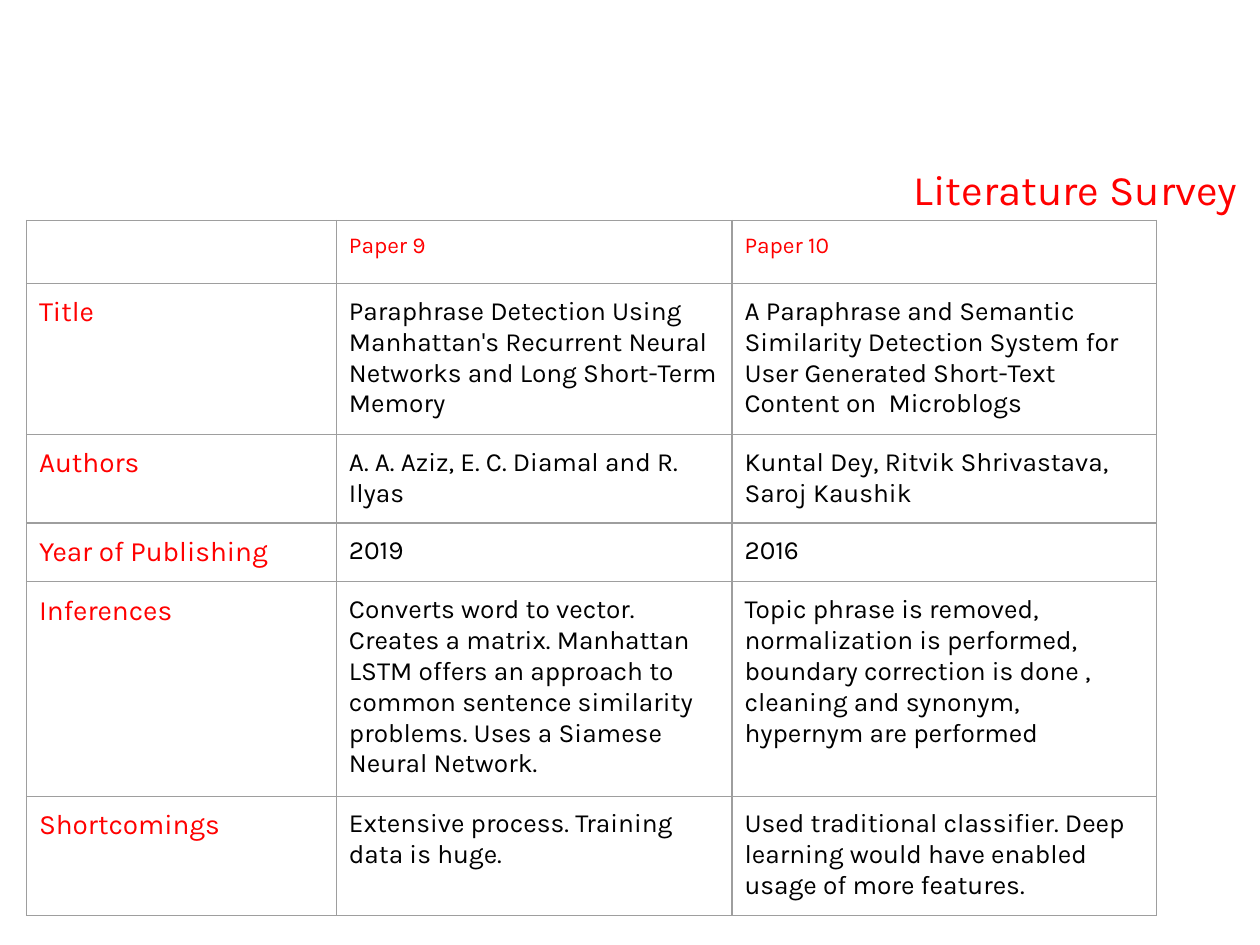
from lxml.etree import SubElement
from pptx import Presentation
from pptx.dml.color import RGBColor
from pptx.enum.text import PP_ALIGN
from pptx.oxml.ns import qn
from pptx.util import Inches, Pt

RED = RGBColor(0xFF, 0, 0)
BLACK = RGBColor(0, 0, 0)
GREY = RGBColor(0x9E, 0x9E, 0x9E)
FONT = "Karla"

COLS = [2.46, 3.14, 3.37]
HEIGHTS = [0.47, 0.73, 0.68, 0.32, 1.47, 0.63]
ROWS = [
    ["", "Paper 9", "Paper 10"],
    ["Title",
     "Paraphrase Detection Using Manhattan's Recurrent Neural Networks and Long Short-Term Memory",
     "A Paraphrase and Semantic Similarity Detection System for User Generated Short-Text Content on  Microblogs"],
    ["Authors",
     "A. A. Aziz, E. C. Diamal and R. Ilyas",
     "Kuntal Dey, Ritvik Shrivastava, Saroj Kaushik"],
    ["Year of Publishing", "2019", "2016"],
    ["Inferences",
     "Converts word to vector. Creates a matrix. Manhattan LSTM offers an approach to common "
     "sentence similarity problems. Uses a Siamese Neural Network.",
     "Topic phrase is removed, normalization is performed, boundary correction is done , "
     "cleaning and synonym, hypernym are performed"],
    ["Shortcomings",
     "Extensive process. Training data is huge.",
     "Used traditional classifier. Deep learning would have enabled usage of more features."],
]


def set_text(frame, text, size, color):
    frame.text = text
    for run in frame.paragraphs[0].runs:
        run.font.name = FONT
        run.font.size = Pt(size)
        run.font.color.rgb = color


def add_title(slide, text):
    box = slide.shapes.add_textbox(Inches(2.92), Inches(1.25), Inches(7.08), Inches(0.5))
    frame = box.text_frame
    frame.word_wrap = True
    set_text(frame, text, 24, RED)
    frame.paragraphs[0].alignment = PP_ALIGN.RIGHT


def set_borders(cell):
    props = cell._tc.get_or_add_tcPr()
    for i, side in enumerate(("lnL", "lnR", "lnT", "lnB")):
        line = SubElement(props, qn(f"a:{side}"), w=str(Pt(0.75)))
        fill = SubElement(line, qn("a:solidFill"))
        SubElement(fill, qn("a:srgbClr"), val=str(GREY))
        # Border lines must come before the cell fill
        props.insert(i, line)


def style_for(row, col):
    """Return the text size and colour for a cell."""
    if row == 0:
        return 13, RED
    return (16, RED) if col == 0 else (15, BLACK)


def fill_cell(cell, text, size, color):
    cell.margin_left = cell.margin_right = Inches(0.1)
    cell.margin_top = cell.margin_bottom = Inches(0.1)
    cell.fill.background()
    set_borders(cell)
    if text:
        set_text(cell.text_frame, text, size, color)


def add_survey(slide):
    frame = slide.shapes.add_table(
        len(ROWS), len(COLS), Inches(0.21), Inches(1.75),
        Inches(sum(COLS)), Inches(sum(HEIGHTS)))
    table = frame.table
    table.first_row = table.horz_banding = False
    for col, width in zip(table.columns, COLS):
        col.width = Inches(width)
    for row, height in zip(table.rows, HEIGHTS):
        row.height = Inches(height)
    for r, texts in enumerate(ROWS):
        for c, text in enumerate(texts):
            fill_cell(table.cell(r, c), text, *style_for(r, c))


def main():
    deck = Presentation()
    deck.slide_width = Inches(10)
    deck.slide_height = Inches(7.5)
    slide = deck.slides.add_slide(deck.slide_layouts[6])
    add_title(slide, "Literature Survey ")
    add_survey(slide)
    deck.save("out.pptx")


if __name__ == "__main__":
    main()
